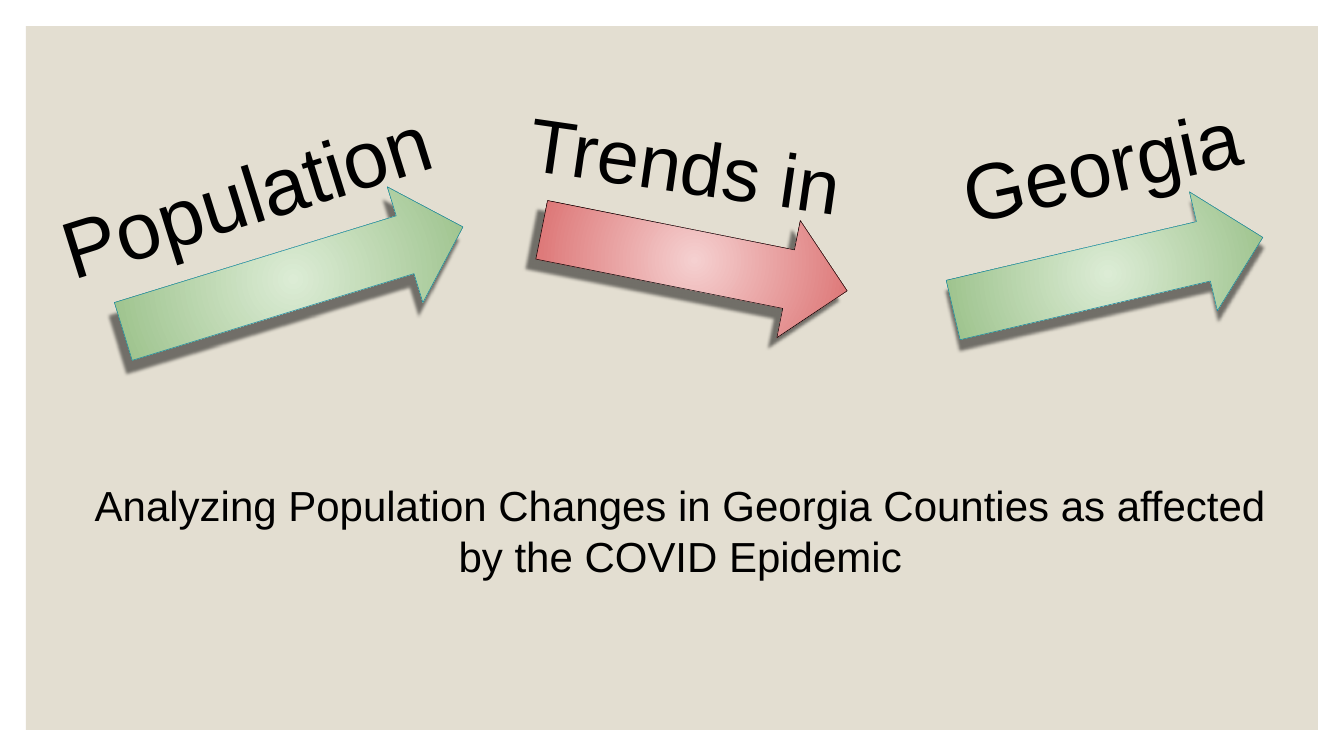
"""Build the title slide on population trends in Georgia."""
import lxml.etree
import pptx
import pptx.dml.color
import pptx.enum.shapes
import pptx.enum.text
import pptx.oxml.ns
import pptx.util

Cm, Pt = pptx.util.Cm, pptx.util.Pt
PP_ALIGN = pptx.enum.text.PP_ALIGN
ANCHOR = pptx.enum.text.MSO_ANCHOR
SHAPE = pptx.enum.shapes.MSO_SHAPE
qn = pptx.oxml.ns.qn

COLORS = {
    "panel": "E3DED1",
    "text": "000000",
    "shadow": "000000",
    "rise_centre": "DCECD5",
    "rise_edge": "93BC81",
    "rise_line": "1485A4",
    "fall_centre": "F5D0D0",
    "fall_edge": "D96868",
    "fall_line": "000000",
}


def rgb(name):
    return pptx.dml.color.RGBColor.from_string(COLORS[name])


def apply(obj, values):
    for name, value in values.items():
        setattr(obj, name, value)


class SlideBuilder:
    """Hold the text style and the current slide."""

    font = "Arial"
    frame = {
        "word_wrap": True,
        "auto_size": pptx.enum.text.MSO_AUTO_SIZE.NONE,
        **{f"margin_{side}": Cm(0.15) for side in ("left", "right", "top", "bottom")},
    }

    def __init__(self, prs):
        self.s = prs.slides.add_slide(prs.slide_layouts[1])

    def place(self, sp, box, rotation=0):
        apply(sp, dict(zip(("left", "top", "width", "height"), map(Cm, box))))
        sp.rotation = rotation

    def set_text(self, sp, text, size, anchor, spacing):
        tf = sp.text_frame
        apply(tf, {**self.frame, "vertical_anchor": anchor})
        p = tf.paragraphs[0]
        apply(p, {"alignment": PP_ALIGN.CENTER, "line_spacing": spacing, "space_before": Pt(0)})
        r = p.add_run()
        r.text = text
        apply(r.font, {"name": self.font, "size": Pt(size)})
        r.font.color.rgb = rgb("text")
        return p

    def panel(self, box):
        sp = self.s.shapes.add_shape(SHAPE.RECTANGLE, *map(Cm, box))
        sp.shadow.inherit = False
        sp.fill.solid()
        sp.fill.fore_color.rgb = rgb("panel")
        sp.line.fill.background()
        self.s.shapes._spTree.insert(2, sp._element)

    def heading(self, text, size, box, rotation, sp=None):
        sp = sp or self.s.shapes.add_textbox(0, 0, 0, 0)
        self.place(sp, box, rotation)
        self.set_text(sp, text, size, ANCHOR.BOTTOM, 0.8)

    def body(self, text, size, box):
        sp = self.s.placeholders[1]
        self.place(sp, box)
        p = self.set_text(sp, text, size, ANCHOR.TOP, 1.0)
        pPr = p._p.get_or_add_pPr()
        pPr.set("marL", "0")
        pPr.set("indent", "0")
        lxml.etree.SubElement(pPr, qn("a:buNone"))

    def arrow(self, trend, box, rotation, distance, direction):
        sp = self.s.shapes.add_shape(SHAPE.RIGHT_ARROW, *map(Cm, box))
        sp.rotation = rotation
        sp.line.color.rgb = rgb(f"{trend}_line")
        sp.line.width = Pt(0.75)
        self.radial(sp, trend)
        self.drop_shadow(sp, distance, direction)

    def radial(self, sp, trend):
        sp.fill.gradient()
        for stop, position, part in zip(sp.fill.gradient_stops, (0, 1), ("centre", "edge")):
            stop.position = position
            stop.color.rgb = rgb(f"{trend}_{part}")
        grad = sp._element.spPr.find(qn("a:gradFill"))
        grad.remove(grad.find(qn("a:lin")))
        circle = lxml.etree.Element(qn("a:path"), {"path": "circle"})
        lxml.etree.SubElement(circle, qn("a:fillToRect"), dict.fromkeys("ltrb", "50000"))
        grad.find(qn("a:gsLst")).addnext(circle)

    def drop_shadow(self, sp, distance, direction):
        sp.shadow.inherit = False
        effects = sp._element.spPr.find(qn("a:effectLst"))
        shadow = lxml.etree.SubElement(effects, qn("a:outerShdw"), {
            "blurRad": str(Pt(4.5)),
            "dist": str(Pt(distance)),
            "dir": str(direction * 60000),
            "algn": "ctr",
            "rotWithShape": "0",
        })
        color = lxml.etree.SubElement(shadow, qn("a:srgbClr"), {"val": COLORS["shadow"]})
        lxml.etree.SubElement(color, qn("a:alpha"), {"val": "50000"})


def main():
    prs = pptx.Presentation()
    apply(prs, {"slide_width": Cm(67.74), "slide_height": Cm(38.1)})
    b = SlideBuilder(prs)

    b.panel((1.3, 1.32, 65.13, 35.46))
    b.arrow("fall", (27.15, 10.11, 15.7, 6.02), 11.3, 19.5, 134)
    b.body("Analyzing Population Changes in Georgia Counties as affected by the COVID Epidemic",
           60, (3.81, 24.03, 60.96, 6.25))
    b.heading("Population", 115.2, (1.32, 7.9, 22.35, 4.37), 342.6, b.s.shapes.title)
    b.heading("Georgia", 113.2, (45.69, 6.35, 19.76, 4.37), 347.5)
    b.heading("Trends in", 108.2, (26.31, 6.22, 16.43, 4.39), 8.2)
    b.arrow("rise", (5.82, 11.02, 17.91, 6.1), 342.9, 20.2, 111)
    b.arrow("rise", (47.83, 10.72, 16.03, 6.15), 346.8, 14.2, 90)

    prs.save("out.pptx")


if __name__ == "__main__":
    main()
